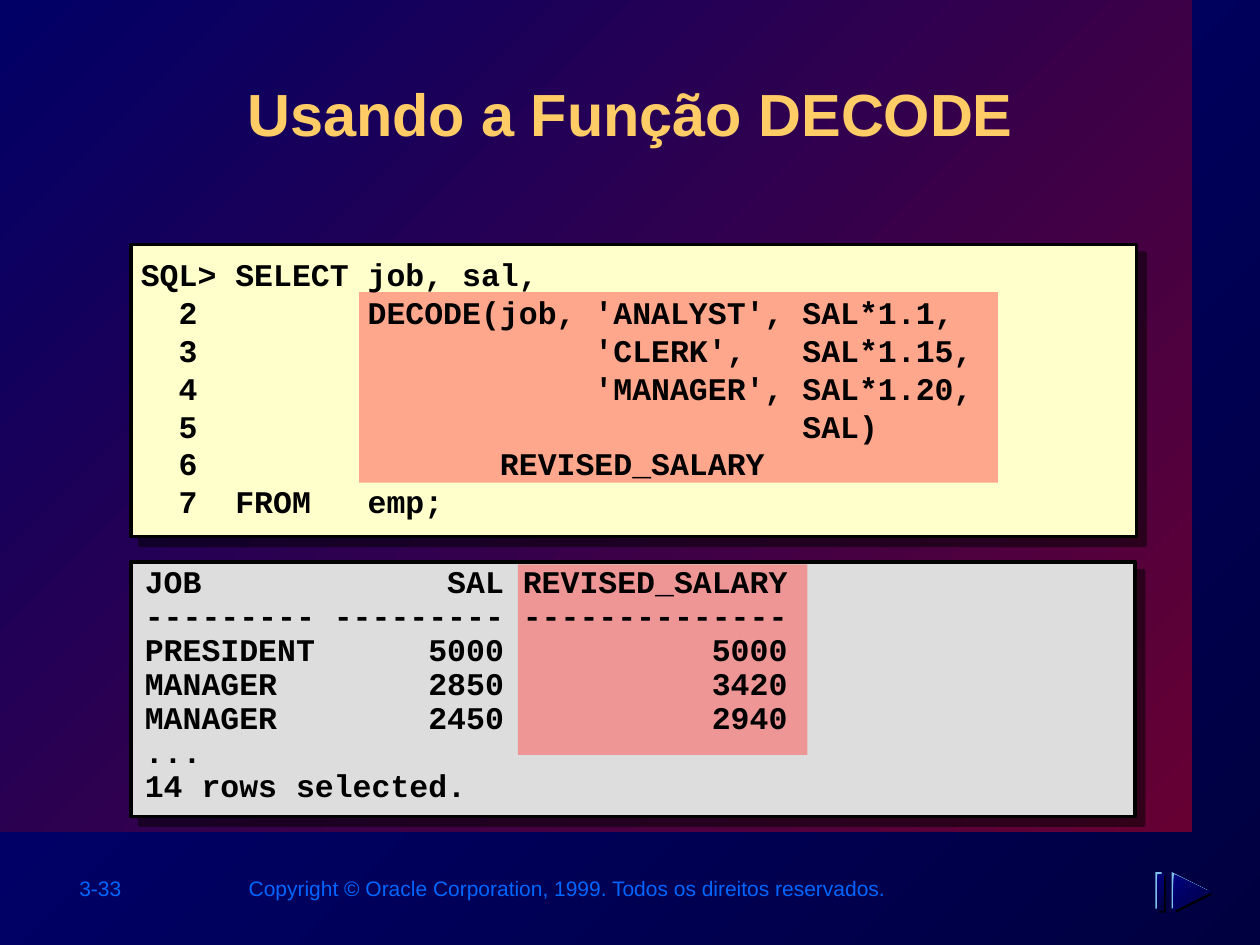
import pptx
import pptx.dml.color
import pptx.enum.shapes
import pptx.enum.text
import pptx.oxml
import pptx.oxml.ns
import pptx.util

Cm = pptx.util.Cm
Pt = pptx.util.Pt
ALIGN = pptx.enum.text.PP_ALIGN
ANCHOR = pptx.enum.text.MSO_ANCHOR

COLORS = {
    "navy": "000080", "night": "000040", "indigo": "000066", "wine": "660033",
    "gold": "FFCC66", "footer": "0066FF", "cream": "FFFFCC", "gray": "DDDDDD",
    "coral": "FF5050", "sky": "7FC1EB", "black": "000000",
}

TITLE = "Usando a Função DECODE"
PAGE_NUMBER = "3-33"
COPYRIGHT = "Copyright © Oracle Corporation, 1999. Todos os direitos reservados."
QUERY = [
    "SQL> SELECT job, sal,",
    "  2         DECODE(job, 'ANALYST', SAL*1.1,",
    "  3                     'CLERK',   SAL*1.15,",
    "  4                     'MANAGER', SAL*1.20,",
    "  5                                SAL)",
    "  6                REVISED_SALARY",
    "  7  FROM   emp;",
]
RESULT = [
    "JOB             SAL REVISED_SALARY",
    "--------- --------- --------------",
    "PRESIDENT      5000           5000",
    "MANAGER        2850           3420",
    "MANAGER        2450           2940",
    "...",
    "14 rows selected.",
]

# Boxes are left, top, width, height in centimetres.
BACKDROP = (0, 0, 24.03, 16.76)
TITLE_BOX = (2.57, 1.42, 20.27, 2.44)
PANELS = [((2.64, 4.93, 20.27, 5.89), "cream"), ((2.64, 11.33, 20.24, 5.13), "gray")]
HIGHLIGHTS = [(7.24, 5.89, 12.88, 3.84), (10.44, 11.38, 5.84, 3.84)]
# Lines, box, anchor, line pitch in points.
LISTINGS = [
    (QUERY, (2.59, 4.83, 20.32, 5.97), ANCHOR.MIDDLE, 21.6),
    (RESULT, (2.67, 11.28, 20.19, 5.05), ANCHOR.TOP, 19.44),
]
FOOTERS = [
    (PAGE_NUMBER, (1.35, 17.53, 2.82, 0.76), ALIGN.LEFT),
    (COPYRIGHT, (4.67, 17.53, 13.44, 0.76), ALIGN.RIGHT),
]
ICON_TOP, ICON_SIZE = 17.58, 0.74
BAR_LEFT, BAR_WIDTH, ARROW_LEFT = 23.29, 0.13, 23.62
BACKGROUND_COLORS = ("navy", "night")
ICON_LAYERS = [(0.08, ("black",)), (0, ("sky",)), (0.04, BACKGROUND_COLORS)]


def rgb(name):
    return pptx.dml.color.RGBColor.from_string(COLORS[name])


def paint(fill, names):
    """One name gives a solid fill, two a gradient towards the lower right."""
    if len(names) == 1:
        fill.solid()
        fill.fore_color.rgb = rgb(names[0])
        return
    fill.gradient()
    fill.gradient_angle = 315
    for stop, name in zip(fill.gradient_stops, names):
        stop.color.rgb = rgb(name)


def finish(shape, names):
    shape.shadow.inherit = False
    paint(shape.fill, names)
    shape.line.fill.background()


def add_rectangle(slide, box, names):
    kind = pptx.enum.shapes.MSO_SHAPE.RECTANGLE
    shape = slide.shapes.add_shape(kind, *map(Cm, box))
    finish(shape, names)
    return shape


def shadow_effect(distance):
    return pptx.oxml.parse_xml(
        f'<a:effectLst {pptx.oxml.ns.nsdecls("a")}>'
        f'<a:outerShdw dist="{Pt(distance)}" dir="2700000" algn="ctr" rotWithShape="0">'
        f'<a:srgbClr val="{COLORS["black"]}"><a:alpha val="50000"/></a:srgbClr>'
        '</a:outerShdw></a:effectLst>'
    )


def add_panel(slide, box, name):
    panel = add_rectangle(slide, box, (name,))
    panel.line.color.rgb = rgb("black")
    panel.line.width = Pt(2)
    properties = panel._element.spPr
    properties.remove(properties.find(pptx.oxml.ns.qn("a:effectLst")))
    properties.append(shadow_effect(7.1))


def add_highlight(slide, box):
    highlight = add_rectangle(slide, box, ("coral",))
    color = highlight._element.spPr.find(".//" + pptx.oxml.ns.qn("a:srgbClr"))
    color.append(pptx.oxml.parse_xml(
        f'<a:alpha {pptx.oxml.ns.nsdecls("a")} val="50000"/>'))


def add_run(paragraph, text, font_name, size, color, bold=False):
    run = paragraph.add_run()
    run.text = text
    run.font.name = font_name
    run.font.size = Pt(size)
    run.font.bold = bold
    run.font.color.rgb = rgb(color)
    return run


def set_title(slide):
    title = slide.shapes.title
    title.left, title.top, title.width, title.height = map(Cm, TITLE_BOX)
    frame = title.text_frame
    frame.vertical_anchor = ANCHOR.TOP
    frame.auto_size = pptx.enum.text.MSO_AUTO_SIZE.NONE
    paragraph = frame.paragraphs[0]
    paragraph.alignment = ALIGN.CENTER
    run = add_run(paragraph, TITLE, "Arial", 34, "gold", True)
    fill = run._r.rPr.find(pptx.oxml.ns.qn("a:solidFill"))
    fill.addnext(shadow_effect(3))


def add_listing(slide, lines, box, anchor, pitch):
    frame = slide.shapes.add_textbox(*map(Cm, box)).text_frame
    frame.word_wrap = True
    frame.vertical_anchor = anchor
    for index, line in enumerate(lines):
        paragraph = frame.add_paragraph() if index else frame.paragraphs[0]
        paragraph.line_spacing = Pt(pitch)
        add_run(paragraph, line, "Courier New", 18, "black", True)


def add_footer(slide, text, box, alignment):
    frame = slide.shapes.add_textbox(*map(Cm, box)).text_frame
    frame.word_wrap = False
    paragraph = frame.paragraphs[0]
    paragraph.alignment = alignment
    add_run(paragraph, text, "Arial", 12, "footer")


def add_arrow(slide, left, top, names):
    tip = (Cm(left + ICON_SIZE), Cm(top + ICON_SIZE / 2))
    builder = slide.shapes.build_freeform(*tip)
    builder.add_line_segments(
        [(Cm(left), Cm(top)), (Cm(left), Cm(top + ICON_SIZE))], close=True)
    finish(builder.convert_to_shape(), names)


def add_icon(slide):
    for offset, names in ICON_LAYERS:
        bar = (BAR_LEFT + offset, ICON_TOP + offset, BAR_WIDTH, ICON_SIZE)
        add_rectangle(slide, bar, names)
    for offset, names in ICON_LAYERS:
        add_arrow(slide, ARROW_LEFT + offset, ICON_TOP + offset, names)


def main():
    presentation = pptx.Presentation()
    presentation.slide_width = Cm(25.4)
    presentation.slide_height = Cm(19.05)
    slide = presentation.slides.add_slide(presentation.slide_layouts[5])
    paint(slide.background.fill, BACKGROUND_COLORS)

    backdrop = add_rectangle(slide, BACKDROP, ("indigo", "wine"))
    slide.shapes.title._element.addprevious(backdrop._element)
    set_title(slide)
    for footer in FOOTERS:
        add_footer(slide, *footer)
    for panel in PANELS:
        add_panel(slide, *panel)
    for box in HIGHLIGHTS:
        add_highlight(slide, box)
    for listing in LISTINGS:
        add_listing(slide, *listing)
    add_icon(slide)
    presentation.save("out.pptx")


if __name__ == "__main__":
    main()
